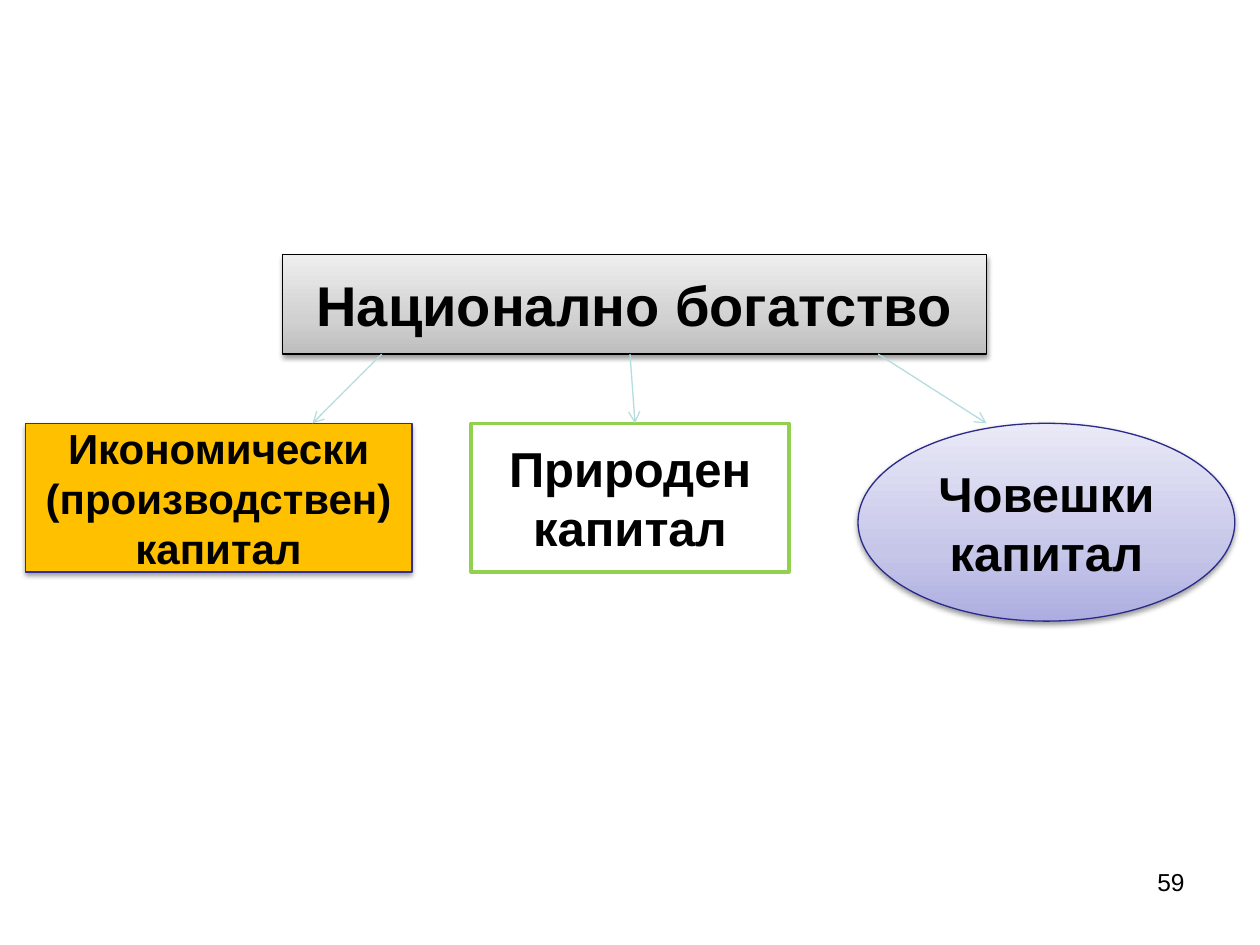
from dataclasses import dataclass
from typing import Optional

from pptx import Presentation
from pptx.dml.color import RGBColor
from pptx.enum.shapes import MSO_CONNECTOR, MSO_SHAPE
from pptx.enum.text import MSO_ANCHOR, PP_ALIGN
from pptx.oxml import parse_xml
from pptx.oxml.ns import nsdecls, qn
from pptx.slide import Slide
from pptx.util import Inches, Pt

FONT = "Arial"
COLORS = {
    "text": "000000",
    "shadow": "000000",
    "wealth_line": "000000",
    "economic_fill": "FFC000",
    "economic_line": "2F2F98",
    "natural_fill": "FFFFFF",
    "natural_line": "92D050",
    "human_line": "2A2A89",
    "arrow": "B6DCDF",
}
GRADIENTS = {
    "wealth": {0: "BDBDBD", 35: "D1D1D1", 100: "EEEEEE"},
    "human": {0: "ADADE1", 35: "C6C6E9", 100: "E9E9F7"},
}
WEALTH_BOTTOM = 2.81
CAPITAL_TOP = 3.36


@dataclass(frozen=True)
class Node:
    """A labelled box or ellipse of the diagram."""

    label: str
    left: float
    top: float
    width: float
    height: float
    size: int
    line: str
    fill: Optional[str] = None
    gradient: Optional[str] = None
    outline: MSO_SHAPE = MSO_SHAPE.RECTANGLE
    line_width: float = 0.75
    shadow: bool = True


@dataclass(frozen=True)
class Arrow:
    """A link from the national wealth box to a kind of capital."""

    start_x: float
    end_x: float


NODES = [
    Node("Национално богатство", 2.24, 2.02, 5.59, 0.79, 32, "wealth_line", gradient="wealth"),
    Node("Икономически (производствен) капитал", 0.2, CAPITAL_TOP, 3.07, 1.18, 24,
         "economic_line", fill="economic_fill"),
    Node("Природен капитал", 3.74, CAPITAL_TOP, 2.52, 1.18, 28, "natural_line",
         fill="natural_fill", line_width=2, shadow=False),
    Node("Човешки капитал", 6.81, CAPITAL_TOP, 2.99, 1.57, 28, "human_line",
         gradient="human", outline=MSO_SHAPE.OVAL),
]
ARROWS = [Arrow(3.03, 2.48), Arrow(5, 5.04), Arrow(6.97, 7.83)]


def rgb(name: str) -> RGBColor:
    """Return the named colour."""
    return RGBColor.from_string(COLORS[name])


def write_text(frame, text: str, size: int, align: PP_ALIGN, bold: bool = False) -> None:
    """Write one run of text into a wrapped frame."""
    frame.word_wrap = True
    paragraph = frame.paragraphs[0]
    paragraph.alignment = align
    run = paragraph.add_run()
    run.text = text
    run.font.name = FONT
    run.font.size = Pt(size)
    run.font.bold = bold
    run.font.color.rgb = rgb("text")


def gradient_fill(name: str):
    """Return a gradient that rises from its first stop at the bottom."""
    stops = "".join(
        f'<a:gs pos="{position * 1000}"><a:srgbClr val="{color}"/></a:gs>'
        for position, color in GRADIENTS[name].items()
    )
    return parse_xml(
        f'<a:gradFill {nsdecls("a")} rotWithShape="1"><a:gsLst>{stops}</a:gsLst>'
        '<a:lin ang="16200000" scaled="0"/></a:gradFill>'
    )


def drop_shadow():
    """Return a soft shadow that falls straight down."""
    return parse_xml(
        f'<a:outerShdw {nsdecls("a")} blurRad="{Pt(3.1)}" dist="{Pt(1.6)}" dir="5400000" '
        f'rotWithShape="0"><a:srgbClr val="{COLORS["shadow"]}"><a:alpha val="38000"/>'
        '</a:srgbClr></a:outerShdw>'
    )


def add_node(slide: Slide, node: Node) -> None:
    """Draw a node with its label."""
    shape = slide.shapes.add_shape(
        node.outline, Inches(node.left), Inches(node.top), Inches(node.width), Inches(node.height)
    )
    properties = shape._element.spPr
    if node.gradient:
        properties.find(qn("a:prstGeom")).addnext(gradient_fill(node.gradient))
    else:
        shape.fill.solid()
        shape.fill.fore_color.rgb = rgb(node.fill)
    shape.line.color.rgb = rgb(node.line)
    shape.line.width = Pt(node.line_width)
    shape.shadow.inherit = False
    if node.shadow:
        properties.find(qn("a:effectLst")).append(drop_shadow())
    shape.text_frame.vertical_anchor = MSO_ANCHOR.MIDDLE
    write_text(shape.text_frame, node.label, node.size, PP_ALIGN.CENTER, bold=True)


def add_arrow(slide: Slide, arrow: Arrow) -> None:
    """Draw an open-headed arrow between the two rows."""
    connector = slide.shapes.add_connector(
        MSO_CONNECTOR.STRAIGHT, Inches(arrow.start_x), Inches(WEALTH_BOTTOM),
        Inches(arrow.end_x), Inches(CAPITAL_TOP),
    )
    connector.line.color.rgb = rgb("arrow")
    connector.line.width = Pt(0.75)
    connector.line._get_or_add_ln().append(
        parse_xml(f'<a:tailEnd {nsdecls("a")} type="arrow"/>')
    )
    connector._element.spPr.append(parse_xml(f'<a:effectLst {nsdecls("a")}/>'))


def add_page_number(slide: Slide, number: str) -> None:
    """Write the page number at the lower right."""
    box = slide.shapes.add_textbox(Inches(7.17), Inches(6.83), Inches(2.33), Inches(0.52))
    write_text(box.text_frame, number, 14, PP_ALIGN.RIGHT)


def main() -> None:
    """Build and save the slide."""
    deck = Presentation()
    deck.slide_width, deck.slide_height = Inches(10), Inches(7.5)
    slide = deck.slides.add_slide(deck.slide_layouts[6])
    for node in NODES:
        add_node(slide, node)
    for arrow in ARROWS:
        add_arrow(slide, arrow)
    add_page_number(slide, "59")
    deck.save("out.pptx")


if __name__ == "__main__":
    main()
